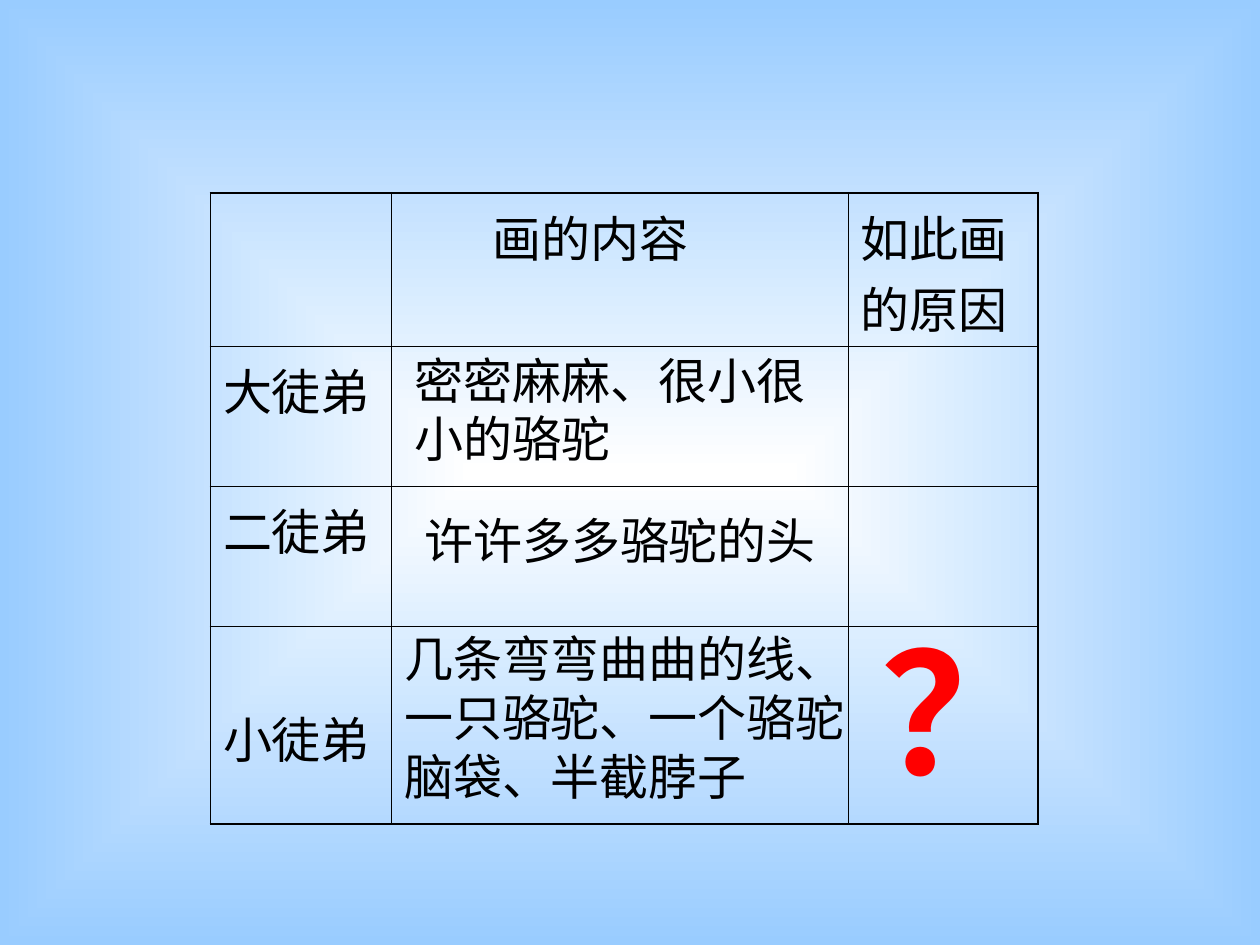
from lxml.etree import SubElement
from pptx import Presentation
from pptx.dml.color import RGBColor
from pptx.oxml import parse_xml
from pptx.oxml.ns import nsdecls, qn
from pptx.util import Inches, Pt

BLACK = RGBColor(0x00, 0x00, 0x00)
RED = RGBColor(0xFF, 0x00, 0x00)
WHITE = RGBColor(0xFF, 0xFF, 0xFF)
SKY = RGBColor(0x99, 0xCC, 0xFF)

FONT = "Arial"
SIZE = 28
TIGHT, LOOSE = 1.2, 1.45  # line pitch as a share of the font size
THIN, THICK = 0.45, 1.08

COLS = [1.44, 3.62, 1.51]
ROWS = [1.22, 1.11, 1.11, 1.57]
TABLE_LEFT, TABLE_TOP = 1.67, 1.53

# Cell text with its left and top margins
CELLS = {
    (0, 1): ("画的内容", 0.8, 0.03),
    (0, 2): ("如此画的原因", 0.1, 0.03),
    (1, 0): ("大徒弟", 0.1, 0.03),
    (2, 0): ("二徒弟", 0.1, 0.03),
    (3, 0): ("小徒弟", 0.1, 0.57),
}


def style_text(tf, pitch, size=SIZE, color=BLACK, bold=False):
    for p in tf.paragraphs:
        p.line_spacing = Pt(round(size * pitch, 1))
        for r in p.runs:
            r.font.name, r.font.size, r.font.bold = FONT, Pt(size), bold
            r.font.color.rgb = color
            rPr = r.font._element
            rPr.set("lang", "zh-CN")
            SubElement(rPr, qn("a:ea")).set("typeface", FONT)


def set_background(s):
    fill = s.background.fill
    fill.gradient()
    for stop, color, position in zip(fill.gradient_stops, (WHITE, SKY), (0, 1)):
        stop.color.rgb = color
        stop.position = position
    lin = next(s._element.iter(qn("a:lin")))
    lin.getparent().replace(lin, parse_xml(
        f'<a:path {nsdecls("a")} path="rect">'
        '<a:fillToRect l="50000" t="50000" r="50000" b="50000"/></a:path>'))


def set_borders(cell, row, col):
    outer = {"L": col == 0, "R": col == len(COLS) - 1,
             "T": row == 0, "B": row == len(ROWS) - 1}
    for i, (side, is_outer) in enumerate(outer.items()):
        width = Pt(THICK if is_outer else THIN)
        cell._tc.get_or_add_tcPr().insert(i, parse_xml(
            f'<a:ln{side} {nsdecls("a")} w="{width}"><a:solidFill>'
            f'<a:srgbClr val="{BLACK}"/></a:solidFill></a:ln{side}>'))


def add_grid(s):
    table = s.shapes.add_table(
        len(ROWS), len(COLS), Inches(TABLE_LEFT), Inches(TABLE_TOP),
        Inches(sum(COLS)), Inches(sum(ROWS))).table
    table.first_row = table.horz_banding = False
    for column, width in zip(table.columns, COLS):
        column.width = Inches(width)
    for i, height in enumerate(ROWS):
        table.rows[i].height = Inches(height)
        for j in range(len(COLS)):
            cell = table.cell(i, j)
            cell.fill.background()
            set_borders(cell, i, j)
    for position, (text, left, top) in CELLS.items():
        cell = table.cell(*position)
        cell.margin_left, cell.margin_top = Inches(left), Inches(top)
        cell.text_frame.text = text
        style_text(cell.text_frame, LOOSE)


def add_answer(s, text, left, top, width, height, **style):
    box = s.shapes.add_textbox(*map(Inches, (left, top, width, height)))
    tf = box.text_frame
    tf.word_wrap = True
    tf.text = text
    style_text(tf, TIGHT, **style)


def main():
    prs = Presentation()
    prs.slide_width, prs.slide_height = Inches(10), Inches(7.5)
    s = prs.slides.add_slide(prs.slide_layouts[6])
    set_background(s)
    add_grid(s)

    # Answers laid over the table
    add_answer(s, "密密麻麻、很小很\n小的骆驼", 3.19, 2.73, 3.46, 1.04)
    add_answer(s, "许许多多骆驼的头", 3.27, 4, 3.46, 0.57)
    add_answer(s, "几条弯弯曲曲的线、一只骆驼、一个骆驼脑袋、半截脖子",
               3.11, 4.94, 3.86, 1.5)
    add_answer(s, "？", 6.89, 4.77, 1.1, 1.7, size=96, color=RED, bold=True)

    prs.save("out.pptx")


if __name__ == "__main__":
    main()
